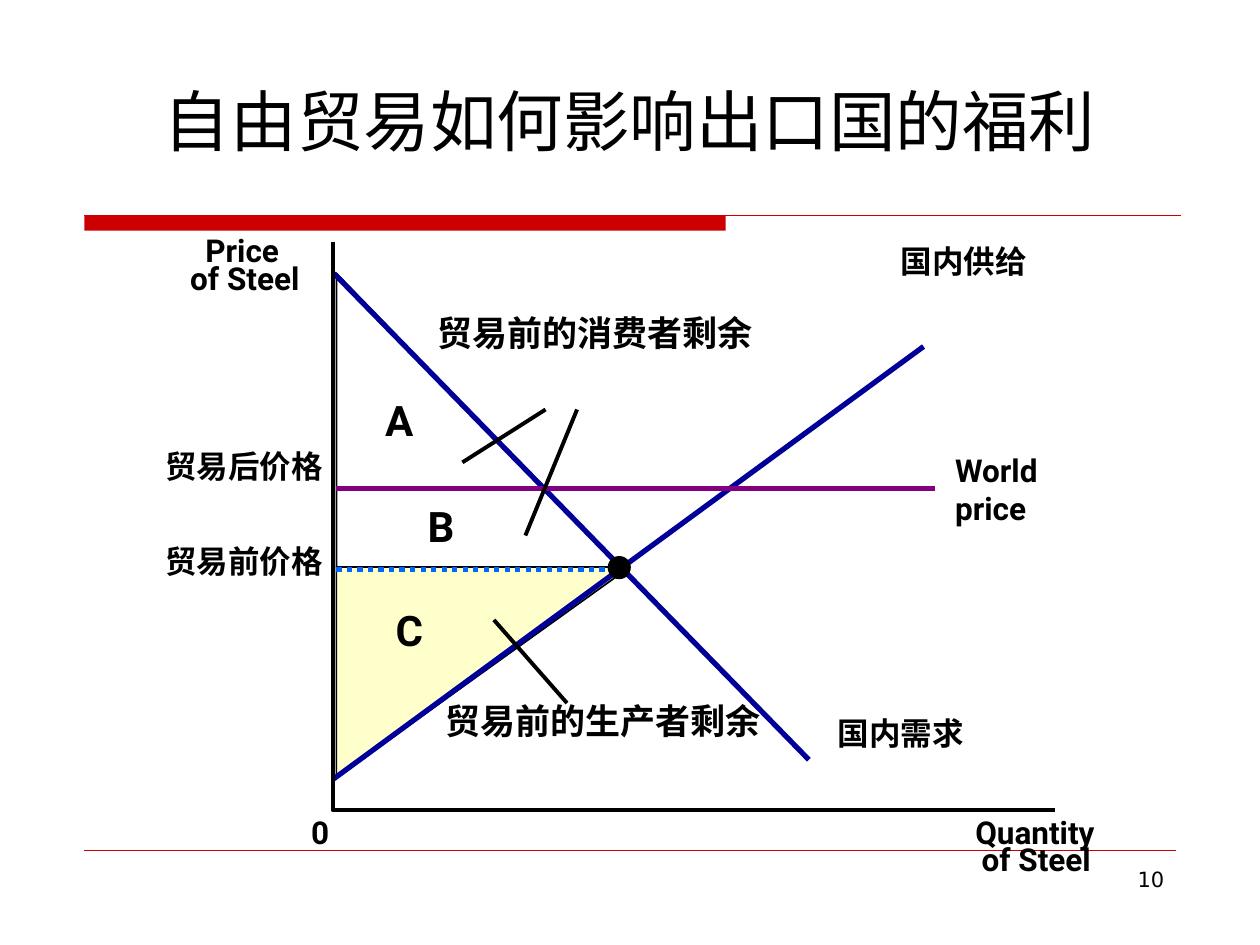
from lxml import etree
from pptx import Presentation
from pptx import util as u
from pptx.dml.color import RGBColor
from pptx.enum import dml, shapes, text
from pptx.oxml import ns


class Theme:
    black = RGBColor(0x00, 0x00, 0x00)
    white = RGBColor(0xFF, 0xFF, 0xFF)
    red = RGBColor(0xCC, 0x00, 0x00)
    cream = RGBColor(0xFF, 0xFF, 0xCC)
    curve = RGBColor(0x00, 0x00, 0x99)
    world = RGBColor(0x80, 0x00, 0x80)
    dots = RGBColor(0x00, 0x66, 0xFF)
    latin = "Roboto"
    sans = "DejaVu Sans"
    title, zone, note, label, page = 38, 24, 20, 18, 12


LEFT, MID, RIGHT = text.PP_ALIGN.LEFT, text.PP_ALIGN.CENTER, text.PP_ALIGN.RIGHT
KIND = shapes.MSO_SHAPE

deck = Presentation()
deck.slide_width, deck.slide_height = u.Inches(10), u.Inches(7.5)
slide = deck.slides.add_slide(deck.slide_layouts[5])
parts = slide.shapes


def write(words, at, box=None, size=Theme.label, font=Theme.latin, bold=True,
          align=LEFT, pad=(0, 0), wrap=False, grow=True,
          anchor=text.MSO_ANCHOR.TOP):
    """Fill box, or a new text box, with one paragraph per line of words."""
    place = [u.Inches(n) for n in at]
    box = box or parts.add_textbox(*place)
    box.left, box.top, box.width, box.height = place
    frame = box.text_frame
    frame.text = words
    frame.margin_left = frame.margin_right = u.Inches(pad[0])
    frame.margin_top = frame.margin_bottom = u.Inches(pad[1])
    frame.word_wrap = wrap
    frame.vertical_anchor = anchor
    fit = text.MSO_AUTO_SIZE
    frame.auto_size = fit.SHAPE_TO_FIT_TEXT if grow else fit.NONE
    for para in frame.paragraphs:
        para.alignment = align
        for run in para.runs:
            run.font.size, run.font.bold = u.Pt(size), bold
            run.font.name = font
            run.font.color.rgb = Theme.black
            east = etree.SubElement(run.font._element, ns.qn("a:ea"))
            east.set("typeface", font)


def rule(start, end, color=Theme.black, width=2.25, dash=None):
    """Draw a straight line between two points."""
    line = parts.add_connector(shapes.MSO_CONNECTOR.STRAIGHT,
                               *[u.Inches(n) for n in start + end])
    line.line.color.rgb, line.line.width = color, u.Pt(width)
    if dash:
        line.line.dash_style = dash
    etree.SubElement(line._element.spPr, ns.qn("a:effectLst"))


# Title and the red rules of the page
PAD = (0.1, 0.05)
write("自由贸易如何影响出口国的福利", (0.75, 0.33, 8.5, 1.25), box=parts.title,
      size=Theme.title, font=Theme.sans, bold=False, align=MID, pad=PAD,
      wrap=True, grow=False, anchor=text.MSO_ANCHOR.MIDDLE)
rule((0.67, 1.71), (9.37, 1.71), Theme.red, 0.75)
rule((0.67, 6.75), (9.33, 6.75), Theme.red, 0.25)

# Solid shapes: red bar, producer and consumer surplus
for kind, at, fill, edge, flip in (
    (KIND.RECTANGLE, (0.67, 1.71, 5.09, 0.12), Theme.red, False, False),
    (KIND.RIGHT_TRIANGLE, (2.67, 4.5, 2.33, 1.67), Theme.cream, True, True),
    (KIND.RIGHT_TRIANGLE, (2.67, 2.17, 2.25, 2.33), Theme.white, True, False),
):
    solid = parts.add_shape(kind, *[u.Inches(n) for n in at])
    solid.shadow.inherit = False
    solid.fill.solid()
    solid.fill.fore_color.rgb = fill
    if edge:
        solid.line.color.rgb, solid.line.width = Theme.black, u.Pt(1)
    else:
        solid.line.fill.background()
    if flip:
        solid._element.spPr.xfrm.set("flipV", "1")

# Price levels, supply and demand
rule((2.67, 4.52), (4.95, 4.52), Theme.dots, 3, dml.MSO_LINE.ROUND_DOT)
rule((2.65, 6.18), (7.33, 2.75), Theme.curve, 3)
rule((2.65, 2.17), (6.42, 6.03), Theme.curve, 3)

# Axes
pen = parts.build_freeform(u.Inches(2.64), u.Inches(1.92))
pen.add_line_segments([(u.Inches(x), u.Inches(y))
                       for x, y in ((2.64, 6.43), (8.37, 6.43))], close=False)
axes = pen.convert_to_shape()
axes.shadow.inherit = False
axes.fill.background()
axes.line.color.rgb, axes.line.width = Theme.black, u.Pt(2.25)

rule((2.67, 3.88), (7.42, 3.88), Theme.world, 3)

# Pointers from the notes to the zones
for start, end in (((4.33, 3.25), (3.67, 3.67)),
                   ((4.58, 3.25), (4.17, 4.25)),
                   ((4.5, 5.58), (3.92, 4.92))):
    rule(start, end)

# Axis labels
for words, x, y, wide in (("Price", 1.63, 1.83, 0.62),
                          ("of Steel", 1.51, 2.06, 0.94),
                          ("0", 2.47, 6.45, 0.14),
                          ("Quantity", 7.74, 6.45, 1.11),
                          ("of Steel", 7.79, 6.67, 0.94)):
    write(words, (x, y, wide, 0.3))

# Curve and price labels
write("World\nprice", (7.58, 3.58, 0.89, 0.6), wrap=True)
for words, x, y in (("国内需求", 6.65, 5.67), ("国内供给", 7.15, 1.92)):
    write(words, (x, y, 1, 0.3), font=Theme.sans, align=MID)
for words, y in (("贸易后价格", 3.5), ("贸易前价格", 4.25)):
    write(words, (0.83, y, 1.83, 0.4), font=Theme.sans, align=RIGHT,
          pad=PAD, wrap=True)

# Zones and their notes
for words, x, y in (("A", 2.92, 3.08), ("B", 3.25, 3.92), ("C", 3, 4.75)):
    write(words, (x, y, 0.5, 0.5), size=Theme.zone, align=MID, pad=PAD,
          wrap=True)
for words, x, y in (("贸易前的消费者剩余", 3.37, 2.42),
                    ("贸易前的生产者剩余", 3.43, 5.5)):
    write(words, (x, y, 2.71, 0.43), size=Theme.note, align=MID, pad=PAD)

# Market balance before trade
dot = parts.add_shape(KIND.OVAL, u.Inches(4.83), u.Inches(4.42),
                      u.Inches(0.17), u.Inches(0.17))
dot.shadow.inherit = False
dot.fill.solid()
dot.fill.fore_color.rgb = Theme.black
dot.line.color.rgb, dot.line.width = Theme.black, u.Pt(1)

write("10", (7.17, 6.83, 2.17, 0.52), size=Theme.page, font=Theme.sans,
      bold=False, align=RIGHT, pad=PAD, wrap=True, grow=False)

deck.save("out.pptx")
